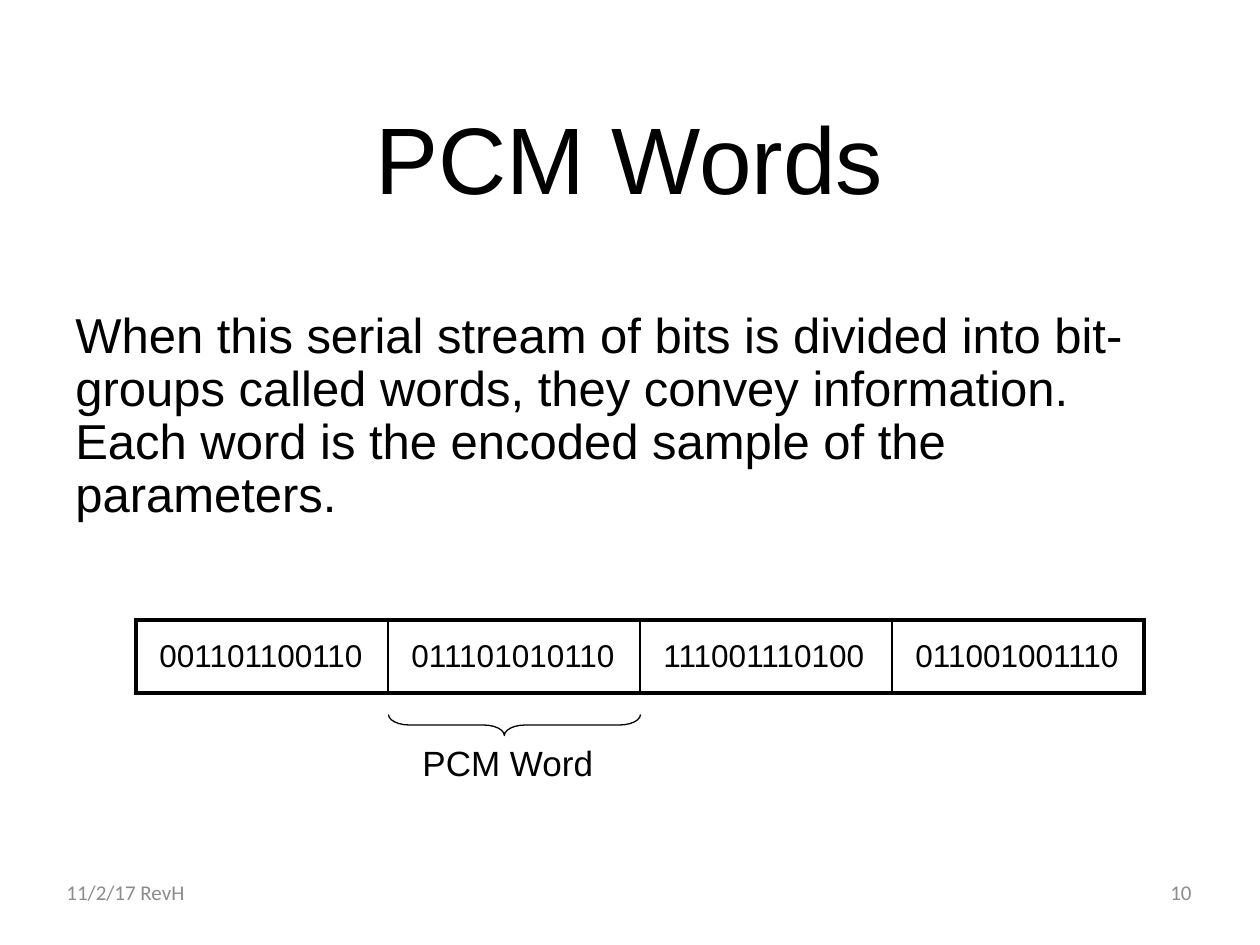
from lxml.etree import SubElement
from pptx import Presentation
from pptx.dml.color import RGBColor
from pptx.enum.shapes import MSO_SHAPE as Shape
from pptx.enum.text import MSO_ANCHOR as Anchor, PP_ALIGN as Align
from pptx.oxml.ns import qn
from pptx.util import Pt

PX = 914400 // 126
BLACK = RGBColor(0, 0, 0)
GRAY = RGBColor(0x8C, 0x8C, 0x8C)

# Content
TITLE = "PCM Words"
BODY = ("When this serial stream of bits is divided into bit-groups called words, "
        "they convey information. Each word is the encoded sample of the parameters.")
WORDS = ["001101100110", "011101010110", "111001110100", "011001001110"]
BRACE_LABEL = "PCM Word"
FOOTERS = [("11/2/17 RevH", 54, Align.LEFT), ("10", 920, Align.RIGHT)]

# Word table geometry in px
TABLE_LEFT, TABLE_TOP = 136, 620
WORD_WIDTH, WORD_HEIGHT = 252, 73
THICK, THIN = 2.25, 1


def px(*lengths):
    return [length * PX for length in lengths]


def add_text(page, text, place, size, font="Arial", color=BLACK, align=Align.LEFT,
             anchor=Anchor.TOP, wrap=True, line_spacing=None, space_before=0):
    frame = page.shapes.add_textbox(*px(*place)).text_frame
    frame.word_wrap = wrap
    frame.vertical_anchor = anchor
    para = frame.paragraphs[0]
    para.alignment = align
    para.line_spacing = line_spacing
    para.space_before = Pt(space_before)
    span = para.add_run()
    span.text = text
    span.font.name, span.font.size = font, Pt(size)
    span.font.color.rgb = color


def set_borders(cell, widths):
    """Give the cell solid borders; widths are points for left, right, top, bottom."""
    properties = cell._tc.get_or_add_tcPr()
    for position, (side, width) in enumerate(zip("LRTB", widths)):
        line = SubElement(properties, qn(f"a:ln{side}"), w=str(Pt(width)))
        fill = SubElement(line, qn("a:solidFill"))
        SubElement(fill, qn("a:srgbClr"), val=str(BLACK))
        properties.insert(position, line)


def add_word_table(page):
    count = len(WORDS)
    place = px(TABLE_LEFT, TABLE_TOP, WORD_WIDTH * count, WORD_HEIGHT)
    table = page.shapes.add_table(1, count, *place).table
    table.first_row = table.horz_banding = False
    for column, word in enumerate(WORDS):
        table.columns[column].width = WORD_WIDTH * PX
        cell = table.cell(0, column)
        cell.fill.background()
        left = THICK if column == 0 else THIN
        right = THICK if column == count - 1 else THIN
        set_borders(cell, (left, right, THICK, THICK))
        word_left = TABLE_LEFT + column * WORD_WIDTH + 11
        add_text(page, word, (word_left, TABLE_TOP + 10, 236, 51), 18, wrap=False)


def add_brace(page):
    # A left brace turned to point down, under the second word
    brace = page.shapes.add_shape(Shape.LEFT_BRACE, *px(504, 599, 21, WORD_WIDTH))
    brace.rotation = 270
    brace.adjustments[0], brace.adjustments[1] = 1, 0.46
    brace.shadow.inherit = False
    brace.fill.background()
    brace.line.color.rgb = BLACK
    brace.line.width = Pt(0.75)
    add_text(page, BRACE_LABEL, (410, 735, 197, 54), 20, wrap=False)


def main():
    deck = Presentation()
    deck.slide_width, deck.slide_height = px(1260, 945)
    page = deck.slides.add_slide(deck.slide_layouts[6])

    # Footer
    for text, left, align in FOOTERS:
        add_text(page, text, (left, 867, 284, 50), 12, "Calibri", GRAY, align, Anchor.MIDDLE)

    # Title and body
    add_text(page, TITLE, (94, 105, 1071, 116), 54, align=Align.CENTER,
             anchor=Anchor.BOTTOM, line_spacing=0.9)
    add_text(page, BODY, (63, 305, 1134, 242), 28, line_spacing=0.9, space_before=10)

    # Words and the brace that names one
    add_word_table(page)
    add_brace(page)
    deck.save("out.pptx")


if __name__ == "__main__":
    main()
